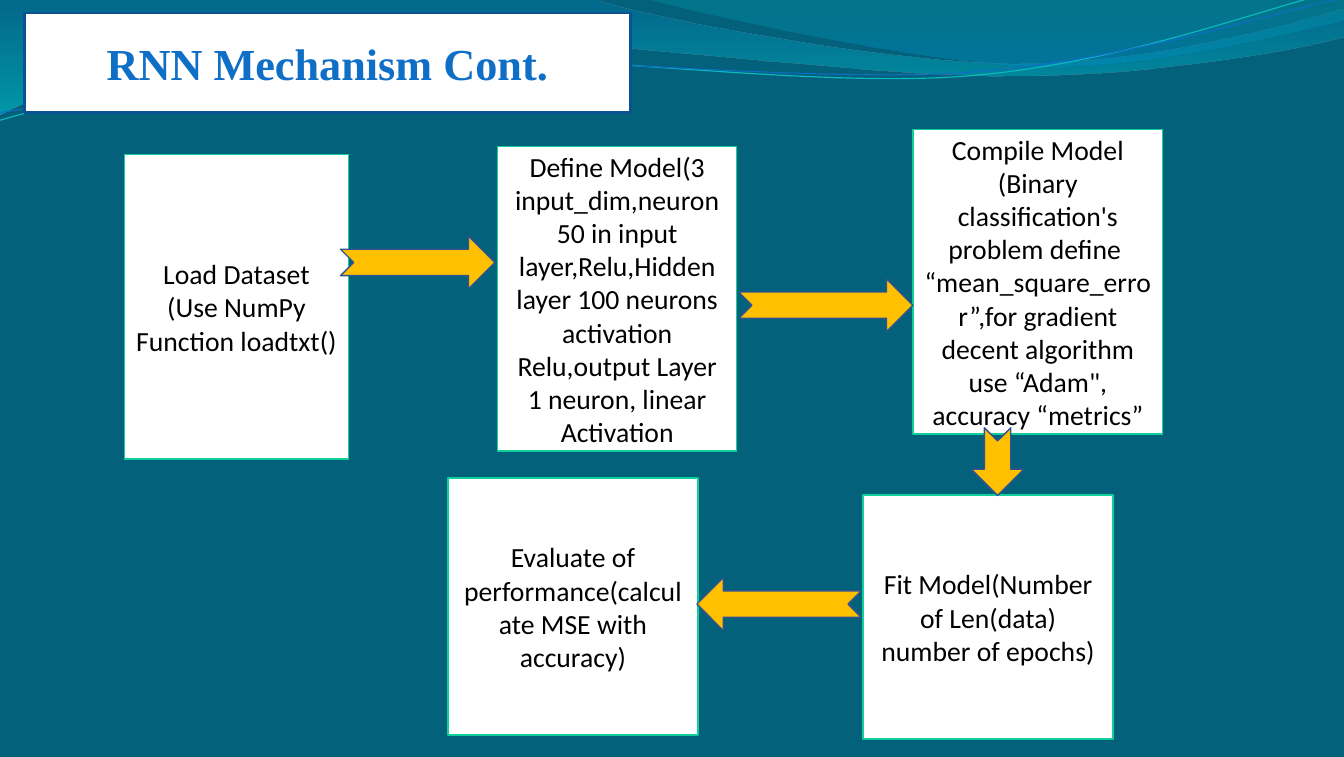
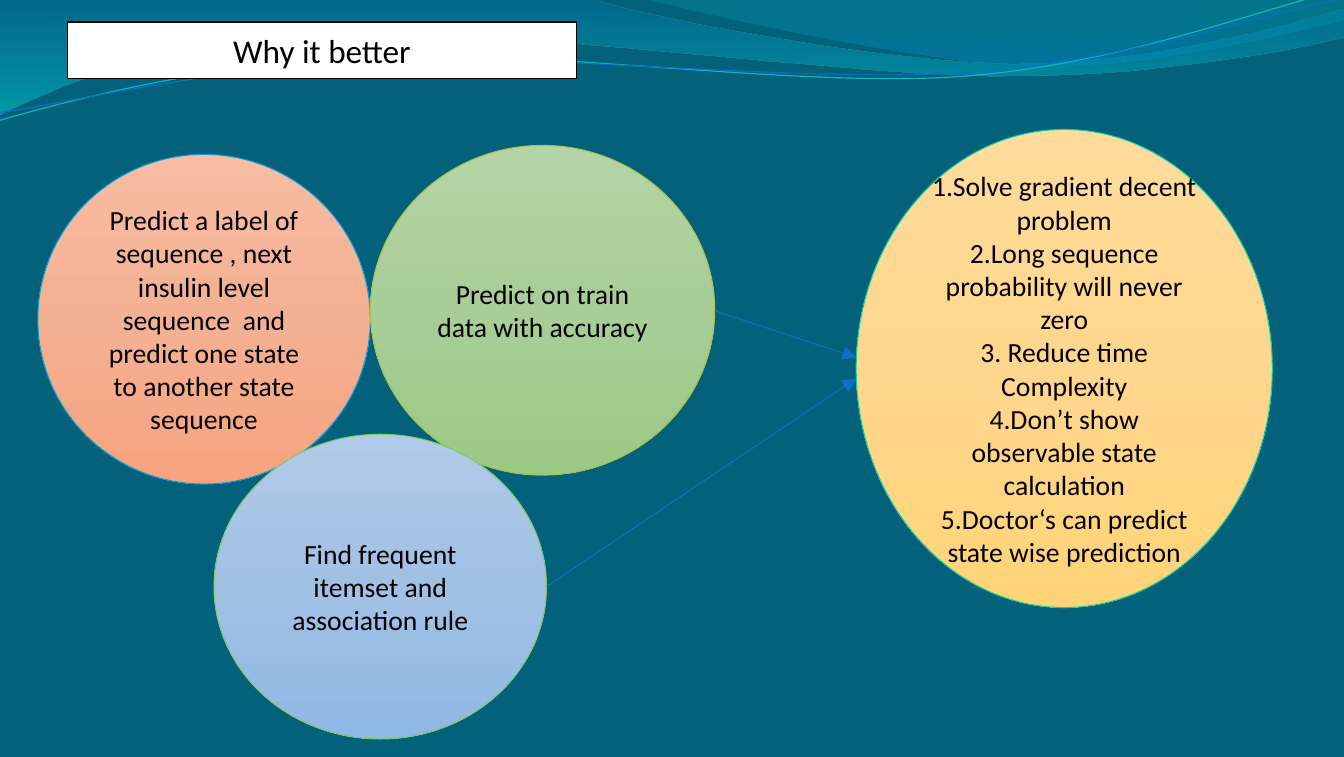
"""Build two slides on an RNN: its steps and its gains."""
from lxml import etree
from pptx import Presentation
from pptx import util as u
from pptx.dml.color import RGBColor
from pptx.enum import shapes as s, text as t
from pptx.oxml.ns import qn

BACK, WHITE, BLACK, BLUE, MINT = "04617B", "FFFFFF", "000000", "0F6FC6", "10CF9B"
GOLD, EDGE = "FFC000", "31538F"
FONT = "Calibri"

WAVES = [
    dict(start=(0, 0), fill=[(0, "0074A1", 45), (100, "00C6CF", 55)], parts=[
        [(5.94, -0.01)],
        [(6.42, 0.17), (8.96, 0.64), (10.24, 0.64)],
        [(11.52, 0.64), (12.94, 0.26), (13.5, 0.09)],
        [(13.51, 0.37)],
        [(13.28, 0.44), (11.74, 0.77), (10.07, 0.76)],
        [(8.4, 0.76), (5.15, 0.28), (3.47, 0.35)],
        [(1.74, 0.36), (0.62, 0.84), (-0.01, 1.15)],
        [(0, 0)]]),
    dict(start=(6.47, -0.01), fill=[(0, "00A1A9", 30), (80, "008BBF", 45)], parts=[
        [(6.88, 0.11), (9.21, 0.63), (10.38, 0.66)],
        [(11.55, 0.7), (12.98, 0.32), (13.5, 0.21)],
        [(13.5, 0)],
        [(6.47, -0.01)]]),
    dict(start=(-0.01, 1.21), line=("0AB8BF", 0.85), parts=[
        [(0.65, 1.02), (2.13, 0.63), (3.74, 0.56)],
        [(5.34, 0.49), (7.99, 0.88), (9.62, 0.77)],
        [(11.24, 0.66), (12.67, 0.08), (13.48, -0.1)]]),
    dict(start=(0, 1.13), line=(BLUE, 0.75), parts=[
        [(0.63, 1.04), (2.21, 0.67), (3.82, 0.6)],
        [(5.44, 0.54), (8.06, 0.83), (9.67, 0.73)],
        [(11.29, 0.62), (12.71, 0.14), (13.5, -0.02)]]),
]

STEPS = [
    ((1.25, 1.55, 2.25, 3.06), ["Load Dataset", "(Use NumPy", "Function loadtxt() "]),
    ((5, 1.47, 2.4, 3.06), [
        "Define Model(3 input_dim,neuron 50 in input layer,Relu,Hidden layer "
        "100 neurons activation Relu,output Layer 1 neuron, linear Activation"]),
    ((9.17, 1.3, 2.51, 3.06), [
        "Compile Model",
        "(Binary classification's problem define  “mean_square_error”,for "
        "gradient decent algorithm use “Adam\", accuracy “metrics”"]),
    ((8.67, 4.97, 2.51, 2.45), ["Fit Model(Number of Len(data) number of epochs)"]),
    ((4.5, 4.8, 2.51, 2.58), ["Evaluate of performance(calculate MSE with accuracy)"]),
]
ARROWS = [
    ((3.42, 2.37, 1.55, 0.53), 0),
    ((7.42, 2.8, 1.75, 0.53), 0),
    ((9.68, 4.37, 0.68, 0.53), 90),
    ((7, 5.8, 1.65, 0.53), 180),
]

CAUSES = [
    ((0.38, 1.55, 3.34, 3.31), ("F7BCA2", "F4B093", "F7A47F"), "009DD9", [
        "Predict a label of sequence , next insulin level sequence  and "
        "predict one state to another state sequence"]),
    ((3.72, 1.46, 3.46, 3.31), ("B4D4A5", "A8CD97", "9BC985"), "A5C249", [
        "Predict on train data with accuracy"]),
    ((2.15, 4.36, 3.34, 3.06), ("B0CAE9", "A1C1E4", "90B8E4"), "7CCA62", [
        "Find frequent itemset and association rule"]),
]
GAINS = ((8.6, 1.3, 4.18, 4.8), ("FFDC9B", "FFD68D", "FFD478"), MINT, [
    "1.Solve gradient decent problem",
    "2.Long sequence probability will never zero",
    "3. Reduce time Complexity",
    "4.Don’t show observable state calculation",
    "5.Doctor‘s can predict state wise prediction"])
LINKS = [((7.18, 3.12), (8.6, 3.59)), ((5.49, 5.89), (8.6, 3.8))]


def rgb(hue):
    return RGBColor.from_string(hue)


def inch(nums):
    return [u.Inches(n) for n in nums]


def edge(line, hue, width):
    line.color.rgb = rgb(hue)
    line.width = u.Pt(width)


def blend(shape, stops):
    shape.fill.gradient()
    shape.fill.gradient_angle = 270
    box = shape.element.spPr.find(qn("a:gradFill")).find(qn("a:gsLst"))
    for old in list(box):
        box.remove(old)
    for pos, hue, seen in stops:
        stop = etree.SubElement(box, qn("a:gs"), pos=str(pos * 1000))
        tint = etree.SubElement(stop, qn("a:srgbClr"), val=hue)
        if seen < 100:
            etree.SubElement(tint, qn("a:alpha"), val=str(seen * 1000))


def write(shape, lines, size=20, hue=BLACK, font=FONT, bold=False):
    frame = shape.text_frame
    frame.word_wrap = True
    frame.auto_size = t.MSO_AUTO_SIZE.NONE
    frame.vertical_anchor = t.MSO_ANCHOR.MIDDLE
    for i, line in enumerate(lines):
        para = frame.add_paragraph() if i else frame.paragraphs[0]
        para.alignment = t.PP_ALIGN.CENTER
        run = para.add_run()
        run.text = line
        run.font.size, run.font.name, run.font.bold = u.Pt(size), font, bold
        run.font.color.rgb = rgb(hue)


def add(slide, kind, at, fill, line, width=1):
    shape = slide.shapes.add_shape(kind, *inch(at))
    shape.shadow.inherit = False
    if isinstance(fill, str):
        shape.fill.solid()
        shape.fill.fore_color.rgb = rgb(fill)
    else:
        blend(shape, [(50 * i, hue, 100) for i, hue in enumerate(fill)])
    edge(shape.line, line, width)
    return shape


def curve(shape, parts):
    """Join each three line ends of a curved part into one cubic."""
    ends = shape.element.spPr.iter(qn("a:lnTo"))
    ends = iter(list(ends))
    for part in parts:
        legs = [next(ends) for _ in part]
        if len(legs) == 3:
            bend = etree.Element(qn("a:cubicBezTo"))
            legs[0].addprevious(bend)
            for leg in legs:
                bend.append(leg[0])
                leg.getparent().remove(leg)


def wave(slide, master, num, start, parts, fill=None, line=None):
    pen = slide.shapes.build_freeform(*inch(start))
    dots = [inch(dot) for part in parts for dot in part]
    pen.add_line_segments(dots, close=bool(fill))
    shape = pen.convert_to_shape()
    curve(shape, parts)
    shape.shadow.inherit = False
    if fill:
        blend(shape, fill)
        shape.line.fill.background()
    else:
        shape.fill.background()
        edge(shape.line, *line)
    shape.element.nvSpPr.cNvPr.set("id", str(num))
    master.shapes.element.append(shape.element)


def head(slide, name, at, line, width, **style):
    title = slide.shapes.title
    title.left, title.top, title.width, title.height = inch(at)
    title.fill.solid()
    title.fill.fore_color.rgb = rgb(WHITE)
    edge(title.line, line, width)
    write(title, [name], **style)


def ball(slide, at, fill, line, lines):
    write(add(slide, s.MSO_SHAPE.FLOWCHART_CONNECTOR, at, fill, line, 0.75), lines)


def link(slide, tail, tip):
    line = slide.shapes.add_connector(s.MSO_CONNECTOR.STRAIGHT, *inch(tail + tip))
    edge(line.line, BLUE, 0.75)
    props = line.element.spPr
    etree.SubElement(props.find(qn("a:ln")), qn("a:tailEnd"),
                     type="triangle", w="lg", len="lg")
    etree.SubElement(props, qn("a:effectLst"))


def main():
    deck = Presentation()
    deck.slide_width, deck.slide_height = inch((13.5, 7.6))
    master = deck.slide_master
    master.background.fill.solid()
    master.background.fill.fore_color.rgb = rgb(BACK)
    flow, gain = [deck.slides.add_slide(deck.slide_layouts[5]) for _ in range(2)]
    for num, item in enumerate(WAVES, 20):
        wave(flow, master, num, **item)

    for at, lines in STEPS:
        write(add(flow, s.MSO_SHAPE.RECTANGLE, at, WHITE, MINT), lines)
    for at, turn in ARROWS:
        add(flow, s.MSO_SHAPE.NOTCHED_RIGHT_ARROW, at, GOLD, EDGE).rotation = turn
    head(flow, "RNN Mechanism Cont.", (0.25, 0.13, 6.08, 1), "0B5292", 2,
         size=32, hue=BLUE, font="Times New Roman", bold=True)

    for cause in CAUSES:
        ball(gain, *cause)
    for tail, tip in LINKS:
        link(gain, tail, tip)
    ball(gain, *GAINS)
    head(gain, "Why it better", (0.68, 0.22, 5.11, 0.57), BLACK, 1, size=24)
    deck.save("out.pptx")


if __name__ == "__main__":
    main()
